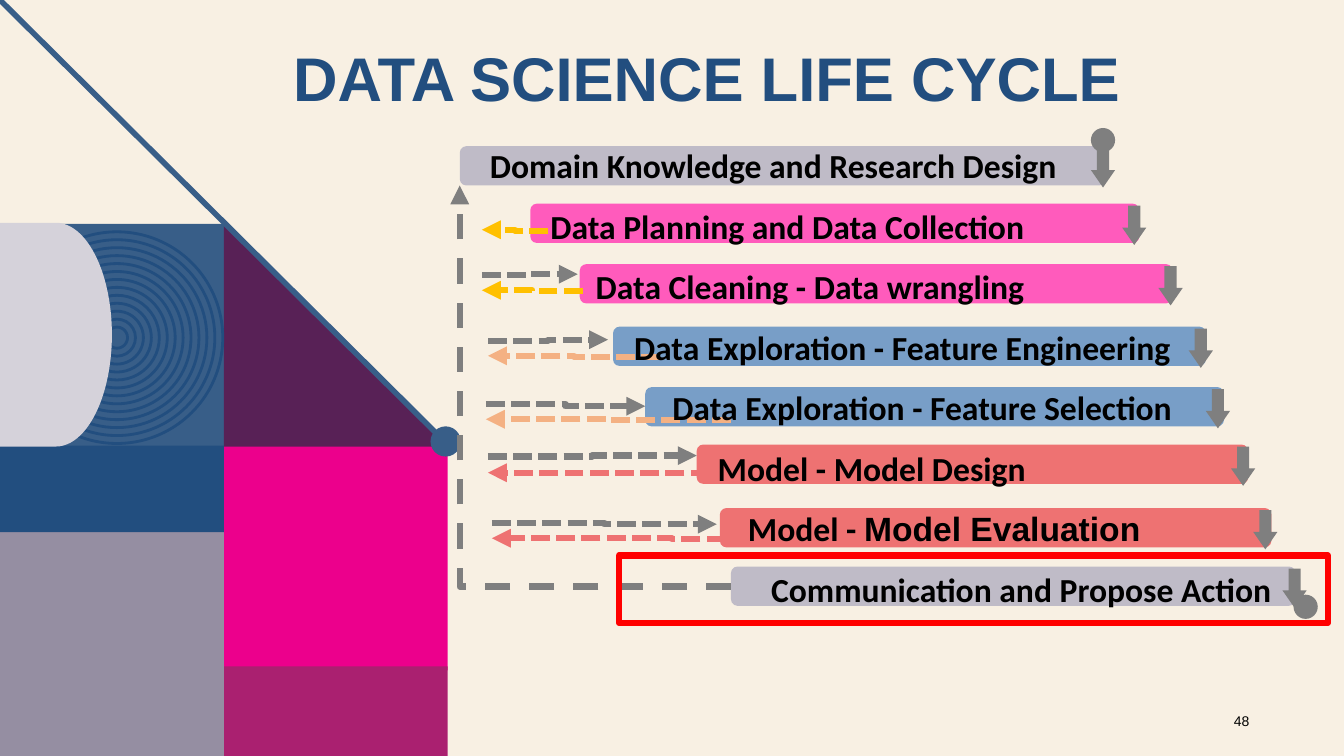
"""Build the data science life cycle slide: a staircase of stages with feedback arrows."""
from lxml import etree
from pptx import Presentation
from pptx.dml.color import RGBColor
from pptx.enum.dml import MSO_LINE
from pptx.enum.shapes import MSO_CONNECTOR, MSO_SHAPE
from pptx.enum.text import MSO_ANCHOR, PP_ALIGN
from pptx.oxml.ns import qn
from pptx.util import Inches, Pt

RECT, ROUNDED = MSO_SHAPE.RECTANGLE, MSO_SHAPE.ROUNDED_RECTANGLE
OVAL, DOWN_ARROW = MSO_SHAPE.OVAL, MSO_SHAPE.DOWN_ARROW
STRAIGHT, ELBOW = MSO_CONNECTOR.STRAIGHT, MSO_CONNECTOR.ELBOW
DASH, DOTS = MSO_LINE.DASH, MSO_LINE.SQUARE_DOT

CREAM = RGBColor(0xF8, 0xF0, 0xE3)
NAVY = RGBColor(0x22, 0x4E, 0x7F)
BLUE = RGBColor(0x38, 0x5E, 0x88)
PLUM = RGBColor(0x58, 0x21, 0x56)
MAGENTA = RGBColor(0xEC, 0x00, 0x8C)
BERRY = RGBColor(0xAA, 0x20, 0x70)
MAUVE = RGBColor(0x95, 0x8E, 0xA2)
PALE = RGBColor(0xD5, 0xD2, 0xDA)
LILAC = RGBColor(0xBF, 0xBB, 0xC7)
PINK = RGBColor(0xFF, 0x5B, 0xBC)
SKY = RGBColor(0x78, 0x9E, 0xC7)
CORAL = RGBColor(0xEE, 0x72, 0x72)
GOLD = RGBColor(0xFF, 0xC0, 0x00)
PEACH = RGBColor(0xF4, 0xB1, 0x83)
GRAY = RGBColor(0x7F, 0x7F, 0x7F)
RED = RGBColor(0xFF, 0x00, 0x00)
BLACK = RGBColor(0x00, 0x00, 0x00)

TILE = 2.22
BAR_HEIGHT = 0.39
MARK = 0.24

prs = Presentation()
prs.slide_width, prs.slide_height = Inches(13.33), Inches(7.5)
slide = prs.slides.add_slide(prs.slide_layouts[6])
slide.background.fill.solid()
slide.background.fill.fore_color.rgb = CREAM
shapes = slide.shapes


def add_block(kind, left, top, width, height, fill=None, line=None, weight=0):
    block = shapes.add_shape(kind, Inches(left), Inches(top), Inches(width), Inches(height))
    block.shadow.inherit = False
    if fill is None:
        block.fill.background()
    else:
        block.fill.solid()
        block.fill.fore_color.rgb = fill
    if line is None:
        block.line.fill.background()
    else:
        block.line.color.rgb = line
        block.line.width = Pt(weight)
    return block


def add_link(kind, start, end, color, weight=4.5, dash=None, arrow=True):
    link = shapes.add_connector(kind, *(Inches(v) for v in (*start, *end)))
    link.line.color.rgb = color
    link.line.width = Pt(weight)
    if dash is not None:
        link.line.dash_style = dash
    if arrow:
        etree.SubElement(link.line._get_or_add_ln(), qn("a:tailEnd"), type="triangle")
    etree.SubElement(link._element.spPr, qn("a:effectLst"))
    return link


add_block(RECT, 0, TILE, TILE, TILE, BLUE)
triangle = shapes.build_freeform(Inches(TILE), Inches(TILE))
triangle.add_line_segments([(Inches(2 * TILE), Inches(2 * TILE)), (Inches(TILE), Inches(2 * TILE))])
wedge = triangle.convert_to_shape()
wedge.shadow.inherit = False
wedge.fill.solid()
wedge.fill.fore_color.rgb = PLUM
wedge.line.fill.background()
add_block(RECT, TILE, 4.43, TILE, TILE, MAGENTA)
add_block(RECT, TILE, 6.61, TILE, 0.89, BERRY)
add_block(RECT, 0, 5.28, TILE, TILE, MAUVE)

for ring in range(13):
    size = 2.1 - 0.1575 * ring
    add_block(OVAL, 1.16 - size / 2, 3.35 - size / 2, size, size, line=NAVY, weight=2)

add_block(RECT, 0, 4.42, TILE, 0.86, NAVY)
half_disc = add_block(MSO_SHAPE.FLOWCHART_DELAY, 0, 2.21, TILE / 2, TILE, PALE)
add_link(STRAIGHT, (0, 0), (4.44, 4.41), BLUE, 4, arrow=False)
add_block(OVAL, 4.27, 4.23, 0.3, 0.3, BLUE)

title = shapes.add_textbox(Inches(2.81), Inches(0.23), Inches(8.85), Inches(0.96)).text_frame
title.word_wrap = True
title.vertical_anchor = MSO_ANCHOR.BOTTOM
heading = title.paragraphs[0]
heading.text = "DATA SCIENCE LIFE CYCLE"
heading.line_spacing = 0.9
heading.font.name, heading.font.size, heading.font.bold = "Arial", Pt(44), True
heading.font.color.rgb = NAVY

footer = shapes.add_textbox(Inches(11.99), Inches(6.95), Inches(0.5), Inches(0.4)).text_frame
footer.word_wrap = True
footer.vertical_anchor = MSO_ANCHOR.MIDDLE
page = footer.paragraphs[0]
page.text = "48"
page.alignment = PP_ALIGN.RIGHT
page.space_after = Pt(6)
page.font.name, page.font.size = "Arial", Pt(10)
page.font.color.rgb = BLACK

# left, top, width, fill, left of the down arrow, text indent, wording by font
stages = [
    (4.56, 1.45, 6.41, LILAC, 10.82, 0, [("Domain Knowledge and Research Design", "Calibri")]),
    (5.26, 2.02, 6.04, PINK, 11.13, 0.6, [("Data Planning and Data Collection", "Calibri")]),
    (5.75, 2.62, 5.88, PINK, 11.49, 1.05, [("Data Cleaning - Data wrangling", "Calibri")]),
    (6.08, 3.24, 5.88, SKY, 11.79, 1.43, [("Data Exploration - Feature Engineering", "Calibri")]),
    (6.4, 3.84, 5.74, SKY, 11.96, 1.81, [("Data Exploration - Feature Selection", "Calibri")]),
    (6.91, 4.41, 5.47, CORAL, 12.21, 2.26, [("Model - Model Design", "Calibri")]),
    (7.14, 5.04, 5.47, CORAL, 12.43, 2.56, [("Model - ", "Calibri"), ("Model Evaluation", "Arial")]),
    (7.25, 5.62, 5.6, LILAC, 12.72, 2.79, [("Communication and Propose Action", "Calibri")]),
]
for left, top, width, fill, *_ in stages:
    add_block(ROUNDED, left, top, width, BAR_HEIGHT, fill)

return_path = add_link(ELBOW, (7.25, 5.82), (4.56, 1.84), GRAY, dash=DASH)
return_path._element.spPr.find(qn("a:prstGeom")).set("prst", "bentConnector2")

feedback = [
    ((5.44, 2.29), (4.78, 2.28), GOLD),
    ((5.78, 2.89), (4.78, 2.88), GOLD),
    ((4.78, 2.73), (5.73, 2.72), GRAY),
    ((6.55, 3.54), (4.84, 3.53), PEACH),
    ((4.84, 3.38), (6.03, 3.37), GRAY),
    ((7.25, 4.17), (4.82, 4.16), PEACH),
    ((4.82, 4.01), (6.4, 4.03), GRAY),
    ((7.79, 4.69), (4.84, 4.69), CORAL),
    ((4.84, 4.53), (6.91, 4.52), GRAY),
    ((8.45, 5.35), (4.88, 5.34), CORAL),
    ((4.88, 5.19), (7.11, 5.2), GRAY),
]
for start, end, color in feedback:
    add_link(ELBOW, start, end, color, dash=DOTS)

wording = shapes.add_textbox(Inches(4.76), Inches(1.19), Inches(9.51), Inches(5.35)).text_frame
wording.word_wrap = True
for row, (*_, indent, pieces) in enumerate(stages):
    label = wording.add_paragraph() if row else wording.paragraphs[0]
    label._p.get_or_add_pPr().set("marL", str(Inches(indent)))
    label.line_spacing = 1.5
    label.font.size, label.font.bold = Pt(24), True
    label.font.color.rgb = BLACK
    for words, face in pieces:
        run = label.add_run()
        run.text = words
        run.font.name = face

for _, top, _, _, arrow_left, *_ in stages:
    step = add_block(DOWN_ARROW, arrow_left, top + 0.02, MARK, BAR_HEIGHT, GRAY)
    step.adjustments[1] = 0.72
for left, top in [(10.82, 1.27), (12.83, 5.9)]:
    add_block(OVAL, left, top, MARK, MARK, GRAY)
add_block(RECT, 6.14, 5.51, 7.03, 0.67, line=RED, weight=4.5)

prs.save("out.pptx")
